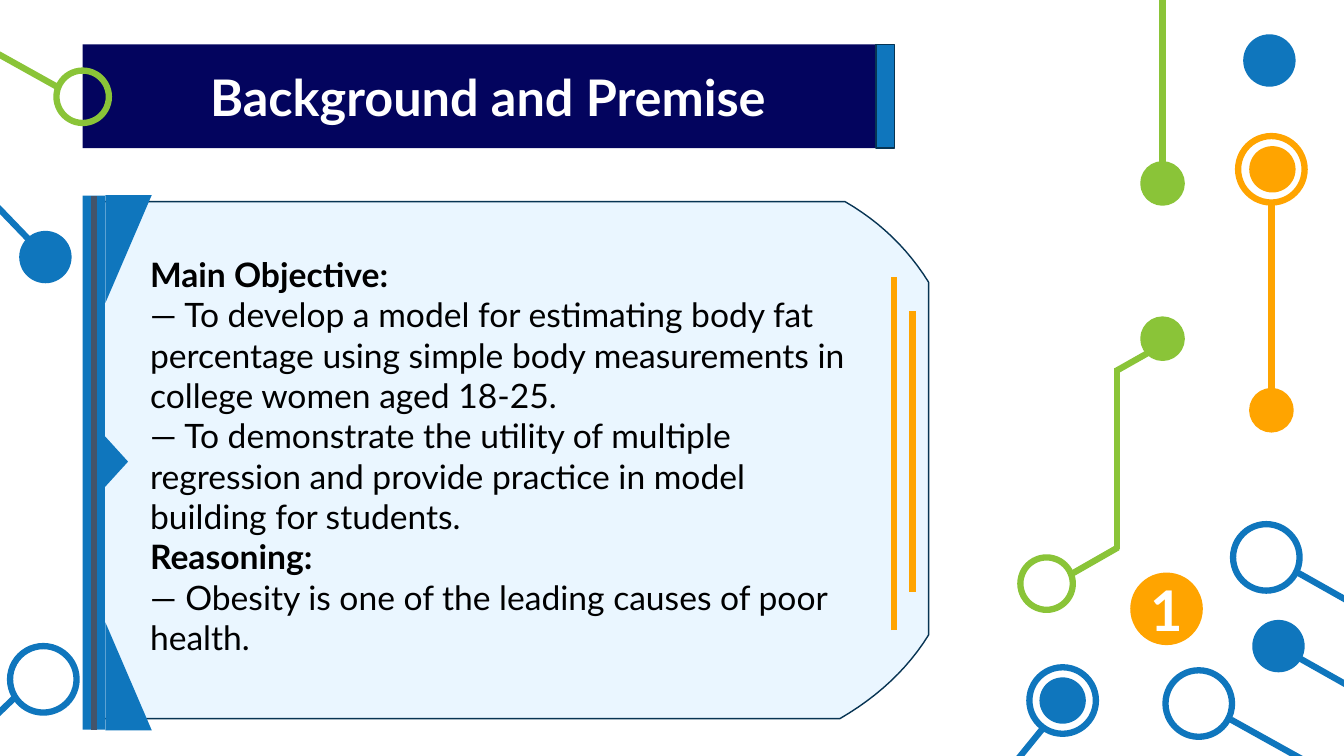
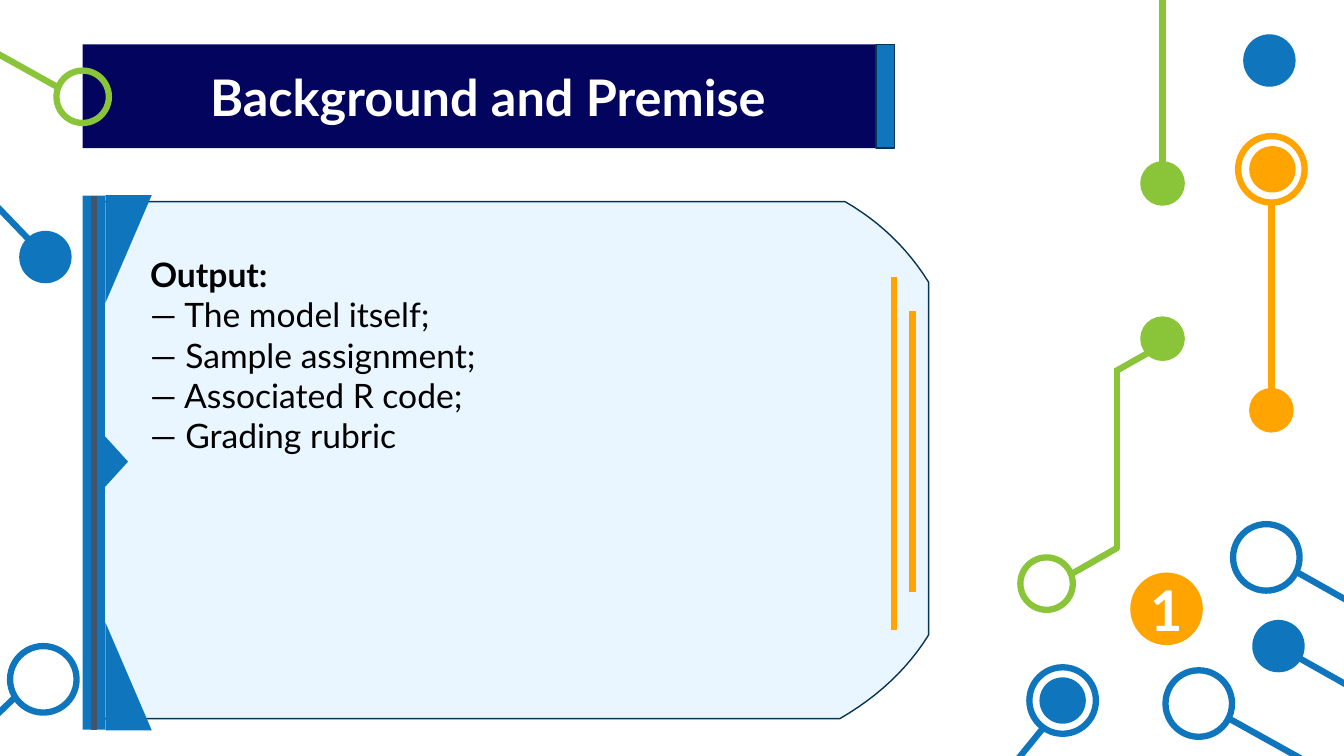
"""Build two slides with a titled panel amid a circuit of lines and dots."""
from lxml import etree
from pptx import Presentation
from pptx.dml.color import RGBColor
from pptx.enum import shapes, text
from pptx.oxml.ns import qn
from pptx.util import Inches, Pt

HUE = {
    "navy": "03045E", "blue": "0F76BD", "green": "8AC438", "gold": "FFA400",
    "pale": "EAF6FF", "edge": "073453", "slate": "44546A",
    "white": "FFFFFF", "black": "000000",
}
KIND = shapes.MSO_SHAPE

PAGES = [
    [
        ("Main Objective:", True),
        ("— To develop a model for estimating body fat percentage using simple "
         "body measurements in college women aged 18-25.", False),
        ("— To demonstrate the utility of multiple regression and provide "
         "practice in model building for students.", False),
        ("Reasoning:", True),
        ("— Obesity is one of the leading causes of poor health.", False),
    ],
    [
        ("Output:", True),
        ("— The model itself;", False),
        ("— Sample assignment;", False),
        ("— Associated R code;", False),
        ("— Grading rubric", False),
    ],
]

CURVES = [
    ((8.38, 2), (8.9, 2.3), (9.21, 2.8)),
    ((9.21, 6.3), (8.9, 6.8), (8.33, 7.13)),
]
STEPS = 12

WEDGES = [
    (0.79, 4.43, 0.66, 0.3, 0.5),
    (0.74, 2.24, 1.07, 0.46, 0),
    (0.74, 6.48, 1.07, 0.46, 1),
]

LINES = [
    (0.93, 7.24, 0.93, 1.94, "slate"),
    (9.05, 5.87, 9.05, 3.09, "gold"),
    (8.87, 6.25, 8.87, 2.75, "gold"),
    (12.61, 3.88, 12.61, 2, "gold"),
    (11.53, 1.63, 11.53, -0.97, "green"),
    (11.07, 3.68, 11.53, 3.42, "green"),
    (11.08, 5.45, 11.08, 3.65, "green"),
    (11.09, 5.43, 10.6, 5.71, "green"),
    (-0.62, 0.2, 0.6, 0.88, "green"),
    (-0.77, 1.28, 0.29, 2.38, "blue"),
    (-0.85, 7.88, 0.25, 6.82, "blue"),
    (13.54, 7.88, 12.21, 7.14, "blue"),
    (14.2, 7.27, 12.87, 6.52, "blue"),
    (14.2, 6.43, 12.87, 5.68, "blue"),
    (9.38, 8.41, 10.34, 7.23, "blue"),
]

DOTS = [
    (11.34, 1.63, 0.38, "green", "green"),
    (11.34, 3.17, 0.38, "green", "green"),
    (10.12, 5.53, 0.52, None, "green"),
    (0.56, 0.7, 0.52, None, "green"),
    (0.19, 2.29, 0.52, "blue", None),
    (0.1, 6.41, 0.66, "white", "blue"),
    (11.56, 6.65, 0.66, "white", "blue"),
    (12.42, 6.15, 0.52, "blue", None),
    (12.23, 5.2, 0.66, "white", "blue"),
    (12.42, 3.88, 0.38, "gold", "gold"),
    (12.28, 1.35, 0.66, None, "gold"),
    (12.39, 1.45, 0.46, "gold", None),
    (10.21, 6.62, 0.66, "white", "blue"),
    (10.31, 6.72, 0.46, "blue", None),
    (12.33, 0.34, 0.52, "blue", None),
]


def write(par, words, size=24, hue="black", bold=True, align=text.PP_ALIGN.LEFT):
    par.alignment = align
    run = par.add_run()
    run.text = words
    run.font.name = "Lato"
    run.font.size = Pt(size)
    run.font.bold = bold
    run.font.color.rgb = RGBColor.from_string(HUE[hue])


def paint(shape, fill=None, line=None, width=4.5):
    shape.shadow.inherit = False
    if fill:
        shape.fill.solid()
        shape.fill.fore_color.rgb = RGBColor.from_string(HUE[fill])
    else:
        shape.fill.background()
    if line:
        shape.line.color.rgb = RGBColor.from_string(HUE[line])
        shape.line.width = Pt(width)
    else:
        shape.line.fill.background()


deck = Presentation()
deck.slide_width, deck.slide_height = Inches(13.33), Inches(7.5)

for page in PAGES:
    slide = deck.slides.add_slide(deck.slide_layouts[5])
    tree = slide.shapes

    title = tree.title
    title.left, title.top = Inches(0.82), Inches(0.44)
    title.width, title.height = Inches(8.04), Inches(1.03)
    title.text_frame.vertical_anchor = text.MSO_ANCHOR.MIDDLE
    paint(title, "navy")
    write(title.text_frame.paragraphs[0], "Background and Premise",
          size=36, hue="white", align=text.PP_ALIGN.CENTER)

    rim = []
    for a, b, c in CURVES:
        for step in range(STEPS + 1):
            t = step / STEPS
            rim.append([Inches((1 - t) ** 2 * p + 2 * t * (1 - t) * q + t * t * r)
                        for p, q, r in zip(a, b, c)])
    rim.append((Inches(0.97), Inches(7.13)))
    pen = tree.build_freeform(Inches(0.97), Inches(2))
    pen.add_line_segments(rim, close=True)
    paint(pen.convert_to_shape(), "pale", "edge", 1)

    for x, y, w, h, tip in WEDGES:
        wedge = tree.add_shape(KIND.ISOSCELES_TRIANGLE,
                               Inches(x), Inches(y), Inches(w), Inches(h))
        wedge.adjustments[0] = tip
        wedge.rotation = 90
        paint(wedge, "blue")

    for x, y, w, h, line in [(0.82, 1.94, 0.22, 5.3, None),
                             (8.69, 0.44, 0.18, 1.03, "edge")]:
        bar = tree.add_shape(KIND.RECTANGLE, Inches(x), Inches(y), Inches(w), Inches(h))
        paint(bar, "blue", line, 1)

    for x, y, right, low, hue in LINES:
        wire = tree.add_connector(shapes.MSO_CONNECTOR.STRAIGHT,
                                  Inches(x), Inches(y), Inches(right), Inches(low))
        wire.line.color.rgb = RGBColor.from_string(HUE[hue])
        wire.line.width = Pt(4.5)
        etree.SubElement(wire.element.spPr, qn("a:effectLst"))

    for x, y, size, fill, line in DOTS:
        dot = tree.add_shape(KIND.OVAL, Inches(x), Inches(y), Inches(size), Inches(size))
        paint(dot, fill, line)

    badge = tree.add_shape(KIND.OVAL, Inches(11.21), Inches(5.68), Inches(0.72), Inches(0.72))
    paint(badge, "gold")
    frame = badge.text_frame
    frame.margin_left = frame.margin_right = 0
    frame.vertical_anchor = text.MSO_ANCHOR.MIDDLE
    write(frame.paragraphs[0], "1", size=40, hue="white", align=text.PP_ALIGN.CENTER)

    body = tree.add_textbox(Inches(1.39), Inches(2.47), Inches(7.14), Inches(4.14)).text_frame
    body.word_wrap = True
    for i, (words, bold) in enumerate(page):
        par = body.add_paragraph() if i else body.paragraphs[0]
        write(par, words, bold=bold)

deck.save("out.pptx")
